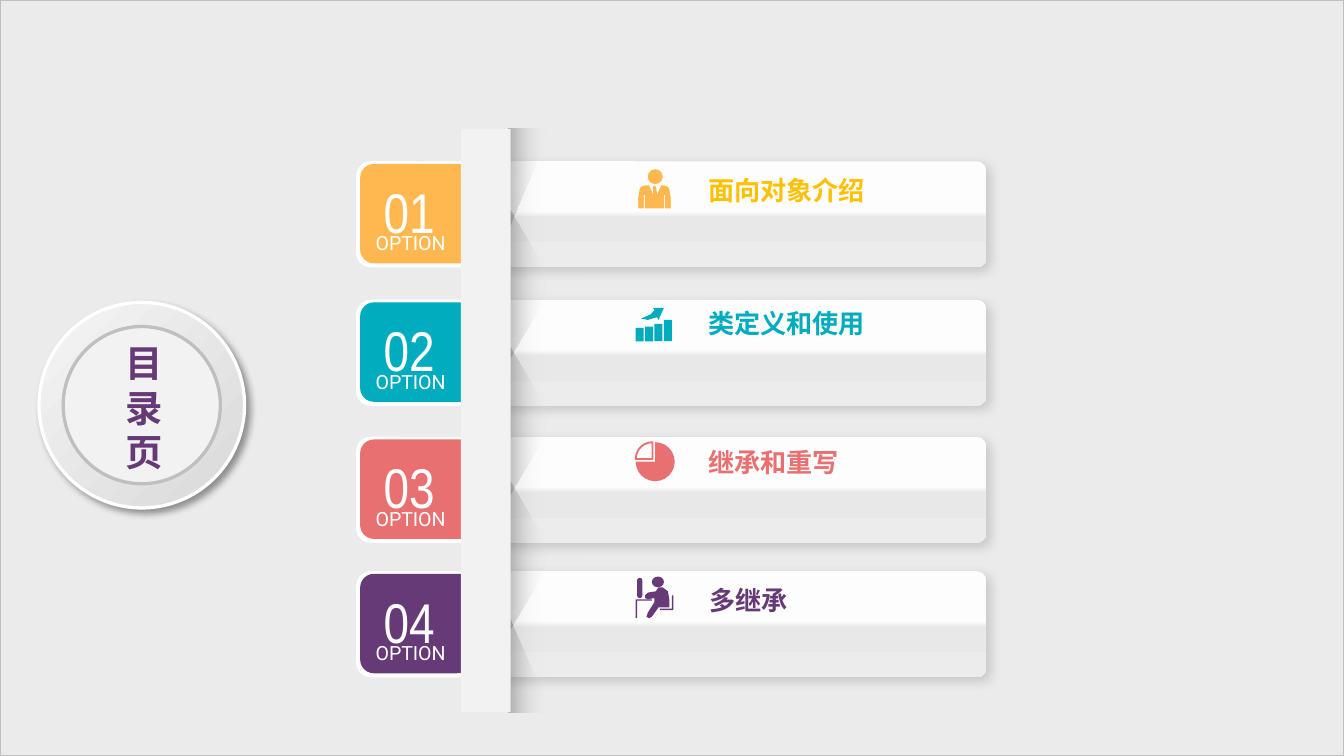
import pptx
import pptx.dml.color
import pptx.enum.shapes
import pptx.enum.text
import pptx.oxml
import pptx.oxml.ns
import pptx.util
from lxml import etree

Inches = pptx.util.Inches
SHAPE = pptx.enum.shapes.MSO_SHAPE
CJK = "Noto Sans CJK SC"
CARD_STOPS = [(47, "FDFDFD", 100), (53, "E8E8E8", 100), (100, "ECECEC", 100)]
SHADE_STOPS = [(0, "000000", 21), (100, "F2F2F2", 0)]


def rgb(value):
    """Turn a hex string into a colour."""
    return pptx.dml.color.RGBColor.from_string(value)


def paint(shape, fill=None, line=None, width=1):
    """Set the fill and outline of a shape and drop its shadow."""
    shape.shadow.inherit = False
    if fill:
        shape.fill.solid()
        shape.fill.fore_color.rgb = rgb(fill)
    else:
        shape.fill.background()
    if line:
        shape.line.color.rgb = rgb(line)
        shape.line.width = pptx.util.Pt(width)
    else:
        shape.line.fill.background()
    return shape


def add_shape(page, kind, box, fill=None, line=None, width=1, adjust=()):
    """Add a preset shape at a left, top, width, height box."""
    shape = page.shapes.add_shape(kind, *map(Inches, box))
    for index, value in enumerate(adjust):
        shape.adjustments[index] = value
    return paint(shape, fill, line, width)


def add_polygon(page, left, top, points, fill=None):
    """Add a closed outline whose points are relative to left and top."""
    corners = [(Inches(left + x), Inches(top + y)) for x, y in points]
    builder = page.shapes.build_freeform(*corners[0], scale=1.0)
    builder.add_line_segments(corners[1:], close=True)
    return paint(builder.convert_to_shape(), fill)


def set_gradient(shape, stops, angle):
    """Replace an empty fill by a linear gradient of position, colour, opacity."""
    marks = "".join(
        f'<a:gs pos="{pos * 1000}"><a:srgbClr val="{color}">'
        f'<a:alpha val="{opacity * 1000}"/></a:srgbClr></a:gs>'
        for pos, color, opacity in stops)
    gradient = pptx.oxml.parse_xml(
        f'<a:gradFill {pptx.oxml.ns.nsdecls("a")} rotWithShape="1"><a:gsLst>{marks}</a:gsLst>'
        f'<a:lin ang="{angle * 60000}" scaled="0"/></a:gradFill>')
    properties = shape._element.spPr
    properties.replace(properties.find(pptx.oxml.ns.qn("a:noFill")), gradient)


def set_shadow(shape, opacity, blur, distance):
    """Give a shape a soft black shadow to the lower right."""
    qn = pptx.oxml.ns.qn
    effects = shape._element.spPr.find(qn("a:effectLst"))
    outer = etree.SubElement(
        effects, qn("a:outerShdw"), blurRad=str(blur * 12700), dist=str(distance * 12700),
        dir="2700000", algn="tl", rotWithShape="0")
    color = etree.SubElement(outer, qn("a:srgbClr"), val="000000")
    etree.SubElement(color, qn("a:alpha"), val=str(opacity * 1000))


def add_text(page, box, text, size, font, color, bold=False, center=True):
    """Add a text box holding one run."""
    frame = page.shapes.add_textbox(*map(Inches, box)).text_frame
    frame.word_wrap = True
    para = frame.paragraphs[0]
    align = pptx.enum.text.PP_ALIGN
    para.alignment = align.CENTER if center else align.LEFT
    span = para.add_run()
    span.text = text
    span.font.size = pptx.util.Pt(size)
    span.font.bold = bold
    span.font.color.rgb = rgb(color)
    span.font.name = font
    etree.SubElement(span.font._element, pptx.oxml.ns.qn("a:ea"), typeface=font)


def add_badge(page, left, top, size):
    """Draw the round title badge."""
    ring = add_shape(page, SHAPE.OVAL, (left, top, size, size), None, "FFFFFF", 1.75)
    set_gradient(ring, [(0, "F5F5F5", 100), (100, "D9D9D9", 100)], 45)
    set_shadow(ring, 40, 4, 3)
    inner = size - 0.36
    add_shape(page, SHAPE.OVAL, (left + 0.18, top + 0.18, inner, inner), "F2F2F2", "BFBFBF", 1.75)
    add_text(page, (left + 0.46, top + 0.23, 0.65, 1.11), "目录页", 20, CJK, "663A77", True)


def add_tab(page, left, top, number, color):
    """Draw a coloured number tab."""
    add_shape(page, SHAPE.ROUNDED_RECTANGLE, (left, top, 0.88, 0.79), "FFFFFF", adjust=[0.139])
    add_shape(page, SHAPE.ROUNDED_RECTANGLE, (left + 0.03, top + 0.02, 0.87, 0.74), color,
              adjust=[0.139])
    add_text(page, (left - 0.03, top + 0.07, 0.85, 0.61), f"{number:02d}", 30, "Arial Narrow",
             "FFFFFF")
    add_text(page, (left - 0.02, top + 0.47, 0.85, 0.28), "OPTION", 10.5, "Roboto", "FFFFFF")


def add_card(page, left, top):
    """Draw the folded card of one row."""
    card = add_shape(page, SHAPE.ROUNDED_RECTANGLE, (left, top, 3.6, 0.79), adjust=[0.092])
    set_gradient(card, CARD_STOPS, 90)
    set_shadow(card, 14, 6, 3)


def add_spine(page, left, top, height, gaps):
    """Draw the vertical strip and the shade it casts on the cards."""
    edge, depth = left + 0.35, 0.28
    soft = add_shape(page, SHAPE.RECTANGLE, (edge, top, depth, height))
    set_gradient(soft, [(0, "000000", 8), (100, "F2F2F2", 0)], 0)
    ends = ([(depth, 0.09), (0, 0.75), (0, 0), (depth, 0)],
            [(depth, height - 0.09), (0, height - 0.73), (0, height), (depth, height)])
    for points in ends:
        set_gradient(add_polygon(page, edge, top, points), SHADE_STOPS, 0)
    for gap in gaps:
        shade = add_shape(page, SHAPE.TRAPEZOID, (left - 0.08, gap - 0.14, 1.15, depth),
                          adjust=[1.74])
        shade.rotation = 90
        set_gradient(shade, [(0, "F2F2F2", 0), (100, "000000", 21)], 90)
    add_shape(page, SHAPE.RECTANGLE, (left, top, 0.37, height), "F2F2F2")


def add_person(page, left, top, color):
    """Draw the businessman icon."""
    body = [(0.26, 0.21), (0.25, 0.19), (0.22, 0.18), (0.2, 0.18), (0.15, 0.29), (0.17, 0.25),
            (0.16, 0.19), (0.15, 0.18), (0.14, 0.19), (0.14, 0.25), (0.11, 0.18), (0.08, 0.18),
            (0.05, 0.19), (0.04, 0.21), (0.03, 0.27), (0.03, 0.34), (0.07, 0.34), (0.07, 0.24),
            (0.08, 0.24), (0.08, 0.34), (0.22, 0.34), (0.22, 0.24), (0.23, 0.24), (0.23, 0.34),
            (0.27, 0.34), (0.27, 0.27)]
    for shift in (0.01, 0):
        add_shape(page, SHAPE.OVAL, (left + 0.1, top + 0.06 + shift, 0.11, 0.1), color)
        add_polygon(page, left, top + shift, body, color)


def add_growth(page, left, top, color):
    """Draw the rising bars icon."""
    for index, height in enumerate((0.1, 0.11, 0.13, 0.16)):
        add_shape(page, SHAPE.RECTANGLE,
                  (left + 0.01 + 0.07 * index, top + 0.31 - height, 0.06, height), color)
    add_polygon(page, left, top, [(0.15, 0.08), (0.12, 0.11), (0.05, 0.14), (0.1, 0.15),
                                  (0.17, 0.13), (0.18, 0.15), (0.22, 0.06), (0.14, 0.06)], color)


def add_pie(page, left, top, color):
    """Draw the pie icon with one hollow quarter."""
    add_shape(page, SHAPE.PIE, (left + 0.01, top + 0.04, 0.29, 0.29), color, adjust=[162, 108])
    add_shape(page, SHAPE.PIE, (left + 0.01, top + 0.04, 0.25, 0.25), None, color, 1,
              adjust=[108, 162])


def add_desk(page, left, top, color):
    """Draw the icon of a person at a desk."""
    desk = [(0.01, 0.21), (0.13, 0.21), (0.13, 0.22), (0.02, 0.22), (0.02, 0.35), (0.01, 0.35)]
    chair = [(0.19, 0.28), (0.28, 0.28), (0.28, 0.18), (0.29, 0.18), (0.29, 0.29), (0.19, 0.29)]
    torso = [(0.1, 0.31), (0.09, 0.34), (0.11, 0.35), (0.13, 0.34), (0.18, 0.27), (0.26, 0.27),
             (0.26, 0.21), (0.25, 0.15), (0.21, 0.12), (0.18, 0.12), (0.16, 0.15), (0.1, 0.16),
             (0.08, 0.18), (0.08, 0.2), (0.1, 0.21), (0.15, 0.2), (0.15, 0.23)]
    add_shape(page, SHAPE.ROUNDED_RECTANGLE, (left + 0.02, top + 0.05, 0.04, 0.15), color,
              adjust=[0.5])
    add_shape(page, SHAPE.OVAL, (left + 0.13, top + 0.04, 0.09, 0.08), color)
    for points in (desk, torso, chair):
        add_polygon(page, left, top, points, color)


def main():
    """Build the contents slide."""
    deck = pptx.Presentation()
    deck.slide_width = Inches(10)
    deck.slide_height = deck.slide_width * 9 // 16
    page = deck.slides.add_slide(deck.slide_layouts[6])
    add_shape(page, SHAPE.RECTANGLE, (0, 0, 10, deck.slide_height / Inches(1)), "EBEBEB", "BFBFBF")
    add_badge(page, 0.29, 2.25, 1.53)
    rows = [(1.2, "FFB850", "FFC000", "面向对象介绍", 5.17, 0.05, add_person),
            (2.23, "01ACBE", "01ACBE", "类定义和使用", 5.17, 0.01, add_growth),
            (3.25, "E87071", "E87071", "继承和重写", 5.17, 0.02, add_pie),
            (4.25, "663A77", "663A77", "多继承", 5.18, 0.05, add_desk)]
    for number, (top, color, *_) in enumerate(rows, 1):
        add_tab(page, 2.65, top, number, color)
    for top, *_ in rows:
        add_card(page, 3.74, top)
    add_spine(page, 3.43, 0.96, 4.34, [top - 0.12 for top, *_ in rows[1:]])
    for top, color, text_color, label, left, drop, add_icon in rows:
        add_icon(page, 4.72, top, color)
        add_text(page, (left, top + drop, 1.39, 0.34), label, 14, CJK, text_color, True, False)
    deck.save("out.pptx")


if __name__ == "__main__":
    main()
